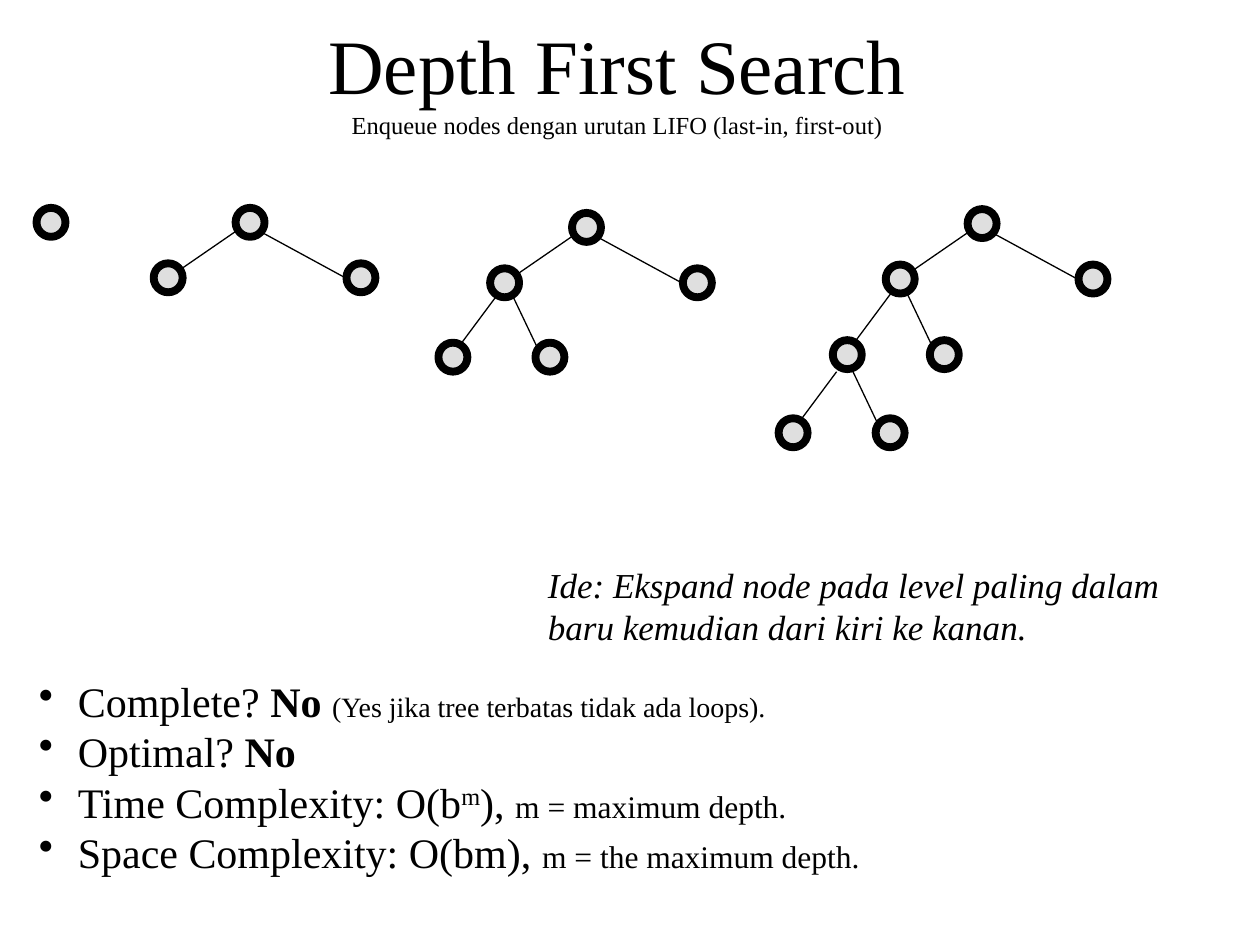
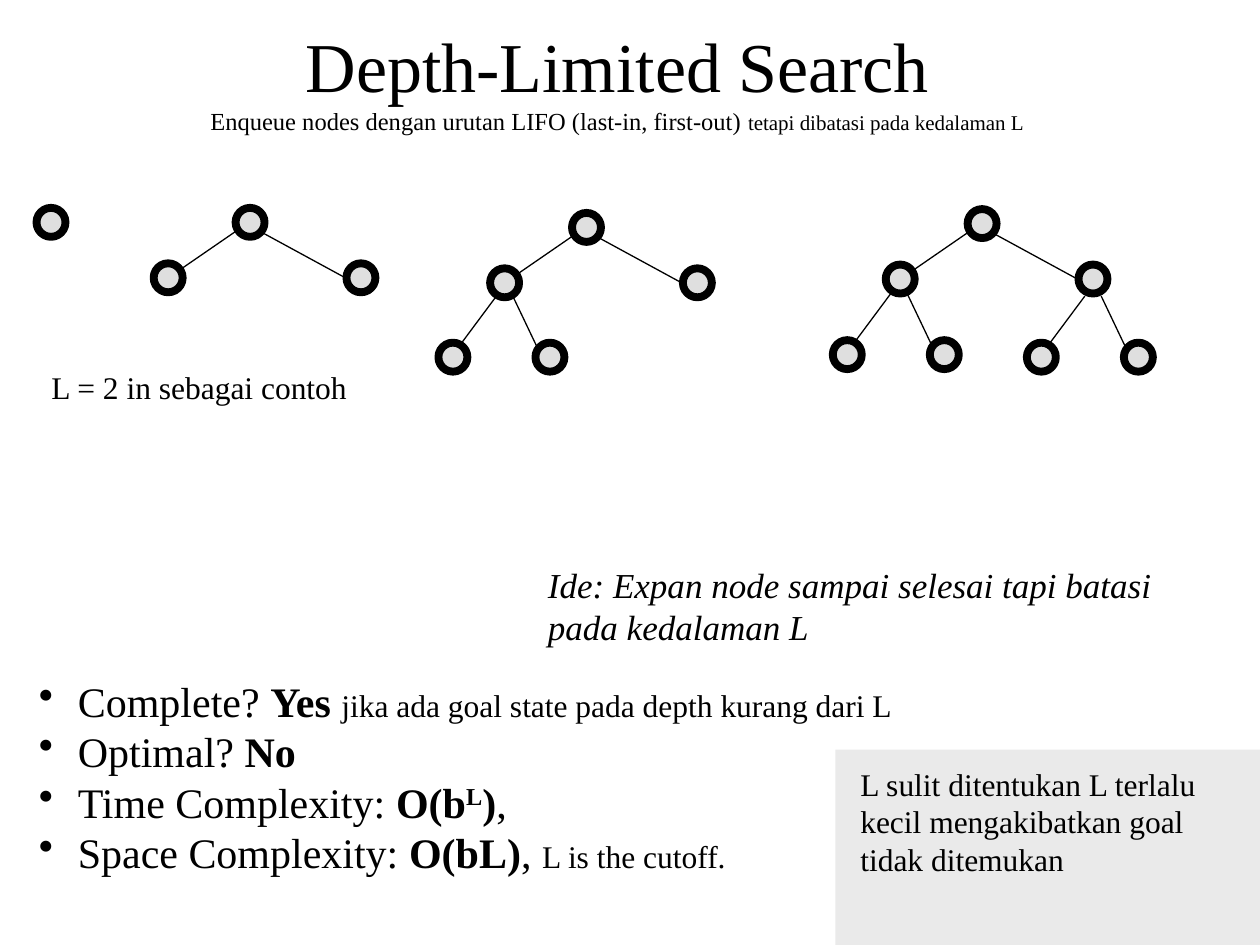
from dataclasses import dataclass

from lxml import etree
from pptx import Presentation
from pptx.dml.color import RGBColor
from pptx.enum.shapes import MSO_CONNECTOR, MSO_SHAPE
from pptx.enum.text import MSO_ANCHOR, PP_ALIGN
from pptx.oxml.ns import qn
from pptx.util import Inches, Pt

STRAIGHT = MSO_CONNECTOR.STRAIGHT
ELLIPSE, RECTANGLE = MSO_SHAPE.OVAL, MSO_SHAPE.RECTANGLE
TOP, MIDDLE = MSO_ANCHOR.TOP, MSO_ANCHOR.MIDDLE
LEFT, CENTER = PP_ALIGN.LEFT, PP_ALIGN.CENTER


@dataclass(frozen=True)
class Theme:
    font: str = "Times New Roman"
    ink: RGBColor = RGBColor(0, 0, 0)
    node: RGBColor = RGBColor(0xC0, 0xC0, 0xC0)
    panel: RGBColor = RGBColor(0xEA, 0xEA, 0xEA)
    subtitle: int = 14
    subtitle_small: int = 12
    body: int = 24
    idea: int = 20
    note: int = 18
    note_small: int = 16
    node_outline: float = 4.5
    edge: float = 0.75


theme = Theme()
NODE_SIZE = 0.23
BULLET_INDENT = 0.31

FORKS = {
    "wide": {
        "children": [(-0.65, 0.44), (0.88, 0.44)],
        "edges": [(0.01, 0.18, -0.44, 0.49), (0.2, 0.19, 0.88, 0.56)],
    },
    "narrow": {
        "children": [(-0.41, 0.59), (0.36, 0.59)],
        "edges": [(0.05, 0.22, -0.24, 0.61), (0.18, 0.22, 0.38, 0.64)],
    },
}

SHARED_TREES = [
    ((0.29, 1.65), []),
    ((1.87, 1.65), [("wide", 1.87, 1.65)]),
    ((4.54, 1.69), [("wide", 4.54, 1.69), ("narrow", 3.89, 2.13)]),
]
LAST_ROOT = (7.68, 1.66)
LAST_FORKS = [("wide", 7.68, 1.66), ("narrow", 7.02, 2.11)]

BOLD = {"bold": True}
NOTE = {"size": theme.note}

SLIDES = [
    {
        "title": "Depth First Search",
        "title_size": 44,
        "subtitle": [("Enqueue nodes dengan urutan LIFO (last-in, first-out)", {})],
        "last_fork": ("narrow", 6.59, 2.73),
        "idea": "Ide: Ekspand node pada level paling dalam baru kemudian dari kiri ke kanan.",
        "properties": [
            [("Complete? ", {}), ("No ", BOLD),
             ("(Yes jika tree terbatas tidak ada loops).", {"size": theme.note_small})],
            [("Optimal? ", {}), ("No", BOLD)],
            [("Time Complexity: O(b", {}), ("m", {"superscript": True}), ("), ", {}),
             ("m = maximum depth.", NOTE)],
            [("Space Complexity: O(bm), ", {}), ("m = the maximum depth.", NOTE)],
        ],
        "notes": [],
        "panels": [],
    },
    {
        "title": "Depth-Limited Search",
        "title_size": 40,
        "subtitle": [
            ("Enqueue nodes dengan urutan LIFO (last-in, first-out) ", {}),
            ("tetapi dibatasi pada kedalaman L", {"size": theme.subtitle_small}),
        ],
        "last_fork": ("narrow", 8.56, 2.13),
        "idea": "Ide: Expan node sampai selesai tapi batasi pada kedalaman L",
        "properties": [
            [("Complete? ", {}), ("Yes ", BOLD),
             ("jika ada goal state pada depth kurang dari L", NOTE)],
            [("Optimal? ", {}), ("No", BOLD)],
            [("Time Complexity: ", {}), ("O(b", BOLD),
             ("L", {"bold": True, "superscript": True}), (")", BOLD), (",", {})],
            [("Space Complexity: ", {}), ("O(bL)", BOLD), (", ", {}),
             ("L is the cutoff.", NOTE)],
        ],
        "notes": [
            ("L = 2 in sebagai contoh", (0.31, 2.87, 2.55, 0.4), False),
            ("L sulit ditentukan L terlalu kecil mengakibatkan goal tidak ditemukan",
             (6.73, 6.02, 3.27, 1), True),
        ],
        "panels": [(6.63, 5.95, 3.37, 1.55)],
    },
]


def add_text(slide, paragraphs, box, size, align=LEFT, anchor=TOP, italic=False,
             bullet=False, line_height=None, wrap=True):
    frame = slide.shapes.add_textbox(*map(Inches, box)).text_frame
    frame.word_wrap = wrap
    frame.vertical_anchor = anchor
    for index, runs in enumerate(paragraphs):
        paragraph = frame.paragraphs[0] if index == 0 else frame.add_paragraph()
        paragraph.alignment = align
        if line_height:
            paragraph.line_spacing = Pt(line_height)
        if bullet:
            properties = paragraph._p.get_or_add_pPr()
            properties.set("marL", str(Inches(BULLET_INDENT)))
            properties.set("indent", str(-Inches(BULLET_INDENT)))
            etree.SubElement(properties, qn("a:buChar")).set("char", "•")
        for text, style in runs:
            run = paragraph.add_run()
            run.text = text
            run.font.name = theme.font
            run.font.size = Pt(style.get("size", size))
            run.font.bold = style.get("bold", False)
            run.font.italic = italic
            run.font.color.rgb = theme.ink
            if style.get("superscript"):
                run._r.get_or_add_rPr().set("baseline", "30000")


def add_tree(slide, root, forks):
    group = slide.shapes.add_group_shape()
    nodes = [root]
    edges = []
    for kind, x, y in forks:
        nodes += [(x + dx, y + dy) for dx, dy in FORKS[kind]["children"]]
        edges += [(x + x1, y + y1, x + x2, y + y2)
                  for x1, y1, x2, y2 in FORKS[kind]["edges"]]
    for x, y in nodes:
        node = group.shapes.add_shape(
            ELLIPSE, Inches(x), Inches(y), Inches(NODE_SIZE), Inches(NODE_SIZE))
        node.shadow.inherit = False
        node.fill.solid()
        node.fill.fore_color.rgb = theme.node
        color = node._element.spPr.find(qn("a:solidFill"))[0]
        etree.SubElement(color, qn("a:alpha")).set("val", "50000")
        node.line.color.rgb = theme.ink
        node.line.width = Pt(theme.node_outline)
    for edge in edges:
        connector = group.shapes.add_connector(STRAIGHT, *map(Inches, edge))
        connector.line.color.rgb = theme.ink
        connector.line.width = Pt(theme.edge)
        etree.SubElement(connector._element.spPr, qn("a:effectLst"))


presentation = Presentation()
presentation.slide_width = Inches(10)
presentation.slide_height = Inches(7.5)

for content in SLIDES:
    slide = presentation.slides.add_slide(presentation.slide_layouts[6])
    title = [(content["title"], {"size": content["title_size"]})]
    add_text(slide, [title, content["subtitle"]], (0.65, 0, 8.5, 1.25),
             theme.subtitle, align=CENTER, anchor=MIDDLE)
    last_tree = (LAST_ROOT, LAST_FORKS + [content["last_fork"]])
    for root, forks in SHARED_TREES + [last_tree]:
        add_tree(slide, root, forks)
    add_text(slide, content["properties"], (0.21, 5.31, 9.57, 1.7),
             theme.body, bullet=True, line_height=28.8)
    add_text(slide, [[(content["idea"], {})]], (4.25, 4.42, 5.31, 0.77),
             theme.idea, italic=True)
    for box in content["panels"]:
        panel = slide.shapes.add_shape(RECTANGLE, *map(Inches, box))
        panel.shadow.inherit = False
        panel.fill.solid()
        panel.fill.fore_color.rgb = theme.panel
        panel.line.fill.background()
    for text, box, wrap in content["notes"]:
        add_text(slide, [[(text, {})]], box, theme.note, wrap=wrap)

presentation.save("out.pptx")
